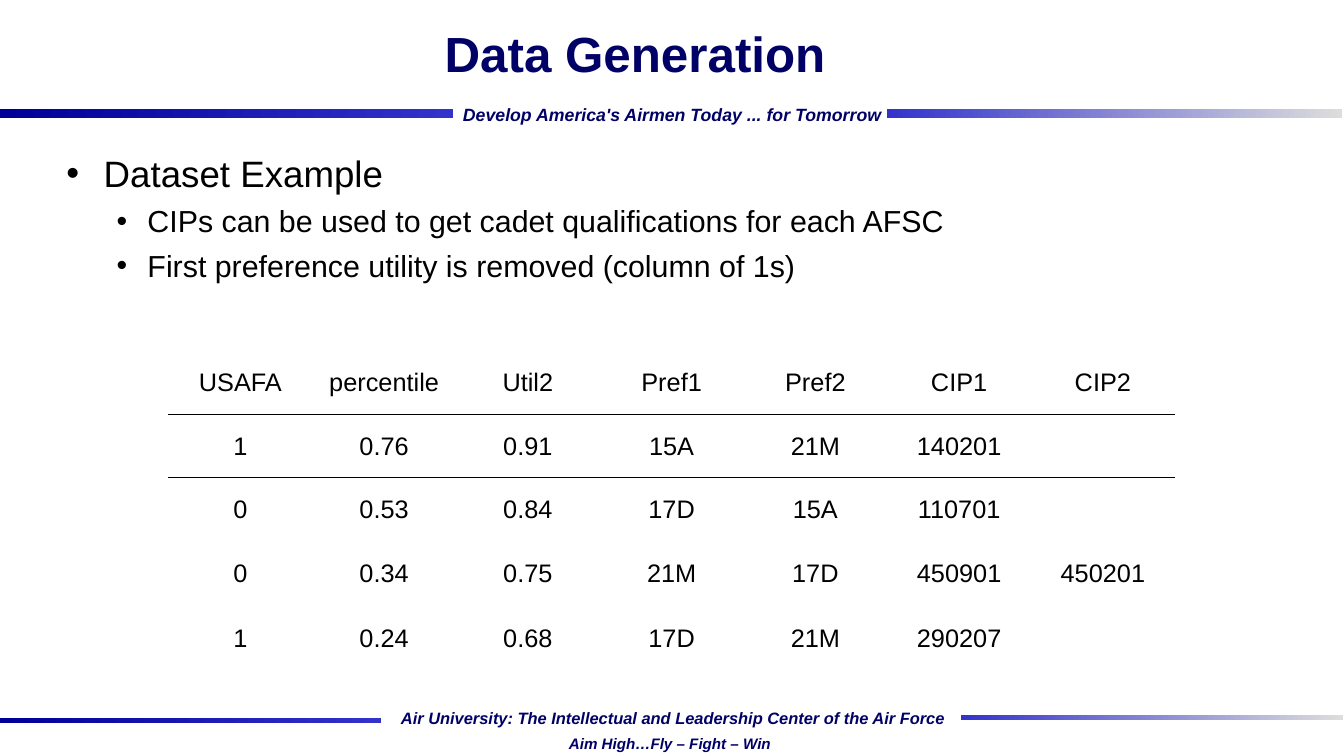
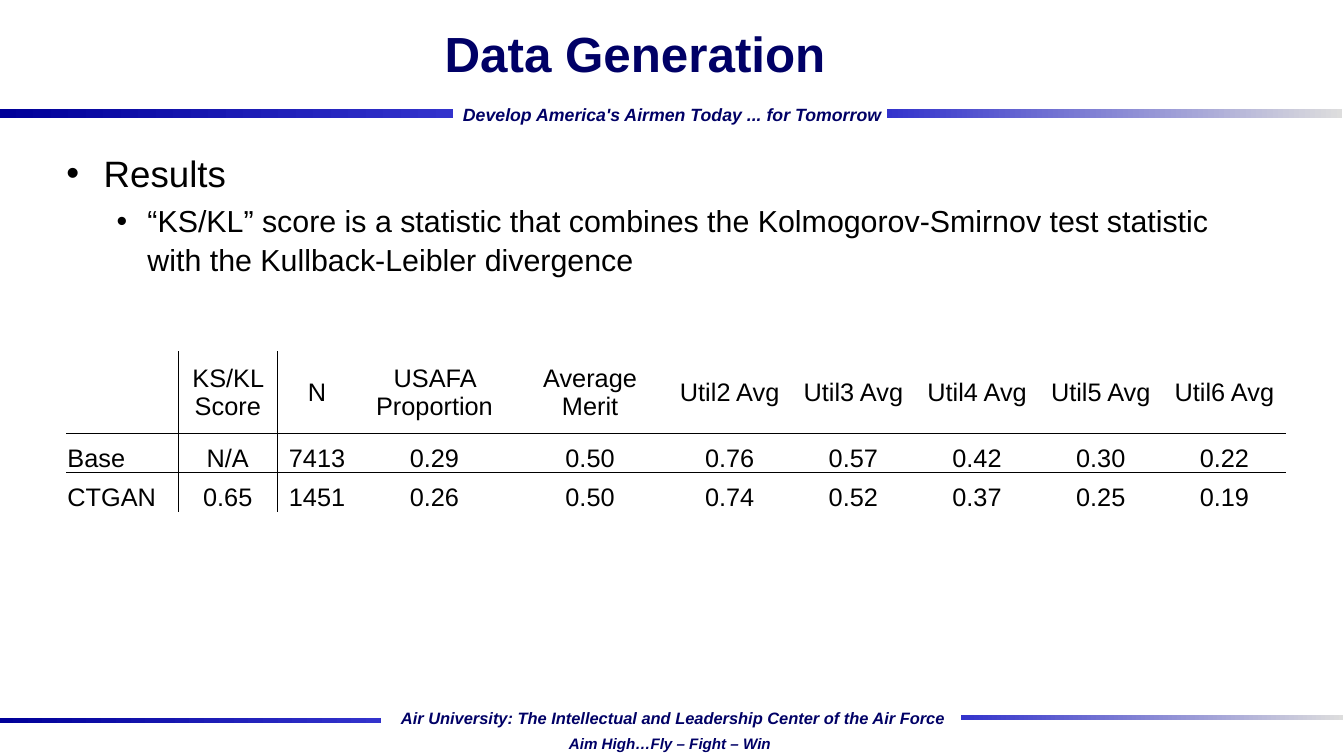
from dataclasses import dataclass
from typing import Any

from lxml.etree import SubElement
from pptx import Presentation
from pptx.dml.color import RGBColor
from pptx.enum.shapes import MSO_SHAPE
from pptx.enum.text import MSO_ANCHOR, MSO_AUTO_SIZE, PP_ALIGN
from pptx.oxml.ns import qn
from pptx.slide import Slide
from pptx.util import Cm, Pt

NAVY = RGBColor(0x00, 0x00, 0x66)
DEEP_BLUE = RGBColor(0x00, 0x00, 0x99)
BLUE = RGBColor(0x33, 0x33, 0xCC)
SILVER = RGBColor(0xDD, 0xDD, 0xDD)
BLACK = RGBColor(0x00, 0x00, 0x00)

FONT = "Arial"
PLAIN_TABLE_STYLE = "{2D5ABB26-0587-4C30-8999-92F81FD0307C}"
TITLE_FORMAT = {"size": Pt(39), "bold": True}
MOTTO_FORMAT = {"bold": True, "italic": True}
CELL_FORMAT = {"size": Pt(20)}
CELL_MARGINS = {
    "margin_left": Cm(0.03),
    "margin_right": Cm(0.03),
    "margin_top": Cm(0.03),
    "margin_bottom": Cm(0),
}


@dataclass(frozen=True)
class Box:
    """A rectangle in centimetres."""

    left: float
    top: float
    width: float
    height: float

    def lengths(self) -> tuple[Cm, Cm, Cm, Cm]:
        return Cm(self.left), Cm(self.top), Cm(self.width), Cm(self.height)


@dataclass(frozen=True)
class Band:
    box: Box
    start: RGBColor
    end: RGBColor


@dataclass(frozen=True)
class Motto:
    text: str
    box: Box
    size: int


@dataclass(frozen=True)
class BulletLevel:
    margin: float
    hanging: float
    size: int


@dataclass(frozen=True)
class DataTable:
    left: float
    top: float
    columns: list[float]
    heights: list[float]
    rows: list[list[str]]
    body_anchor: MSO_ANCHOR
    row_labels: bool = False


@dataclass(frozen=True)
class Page:
    title: str
    bullets: list[tuple[int, str]]
    table: DataTable


TITLE_BOX = Box(3.2, 0, 29.03, 2.97)
BODY_BOX = Box(1.6, 4.01, 33.71, 15.42)
BULLET_LEVELS = [BulletLevel(1.04, 1.04, 29), BulletLevel(2.26, 0.86, 24)]

BANDS = [
    Band(Box(24.74, 3.05, 12.7, 0.23), BLUE, SILVER),
    Band(Box(-0.05, 3.05, 12.7, 0.23), DEEP_BLUE, BLUE),
    Band(Box(-0.05, 20.02, 10.67, 0.13), DEEP_BLUE, BLUE),
    Band(Box(26.8, 19.94, 10.67, 0.13), BLUE, SILVER),
]
MOTTOS = [
    Motto("Develop America's Airmen Today ... for Tomorrow",
          Box(12.62, 2.77, 12.27, 0.86), 14),
    Motto("Air University: The Intellectual and Leadership Center of the Air Force",
          Box(10.82, 19.61, 15.88, 0.79), 13),
    Motto("Aim High…Fly – Fight – Win", Box(15.54, 20.35, 6.3, 0.74), 12),
]

DATASET = DataTable(
    4.7, 9.73, [4.01] * 7, [1.83, 1.75, 1.75, 1.83, 1.83],
    [
        ["USAFA", "percentile", "Util2", "Pref1", "Pref2", "CIP1", "CIP2"],
        ["1", "0.76", "0.91", "15A", "21M", "140201", ""],
        ["0", "0.53", "0.84", "17D", "15A", "110701", ""],
        ["0", "0.34", "0.75", "21M", "17D", "450901", "450201"],
        ["1", "0.24", "0.68", "17D", "21M", "290207", ""],
    ],
    MSO_ANCHOR.MIDDLE,
)
RESULTS = DataTable(
    1.85, 9.8, [3.12, 2.77, 2.21, 4.34, 4.34] + [3.45] * 5, [2.29, 1.09, 1.09],
    [
        ["", "KS/KL Score", "N", "USAFA Proportion", "Average Merit"]
        + [f"Util{rank} Avg" for rank in range(2, 7)],
        ["Base", "N/A", "7413", "0.29", "0.50", "0.76", "0.57", "0.42", "0.30", "0.22"],
        ["CTGAN", "0.65", "1451", "0.26", "0.50", "0.74", "0.52", "0.37", "0.25", "0.19"],
    ],
    MSO_ANCHOR.BOTTOM,
    row_labels=True,
)

PAGES = [
    Page(
        "Data Generation",
        [
            (0, "Dataset Example"),
            (1, "CIPs can be used to get cadet qualifications for each AFSC"),
            (1, "First preference utility is removed (column of 1s)"),
        ],
        DATASET,
    ),
    Page(
        "Data Generation",
        [
            (0, "Results"),
            (1, "“KS/KL” score is a statistic that combines the Kolmogorov-Smirnov "
                "test statistic with the Kullback-Leibler divergence"),
        ],
        RESULTS,
    ),
]


def apply_format(target: Any, values: dict[str, Any]) -> None:
    for attribute, value in values.items():
        setattr(target, attribute, value)


def write_run(paragraph: Any, text: str, color: RGBColor, values: dict[str, Any]) -> None:
    run = paragraph.add_run()
    run.text = text
    run.font.name = FONT
    run.font.color.rgb = color
    apply_format(run.font, values)


def place(shape: Any, box: Box) -> None:
    shape.left, shape.top, shape.width, shape.height = box.lengths()


def draw_band(slide: Slide, band: Band) -> None:
    bar = slide.shapes.add_shape(MSO_SHAPE.RECTANGLE, *band.box.lengths())
    bar.shadow.inherit = False
    bar.line.fill.background()
    bar.fill.gradient()
    bar.fill.gradient_angle = 0
    for stop, color in zip(bar.fill.gradient_stops, (band.start, band.end)):
        stop.color.rgb = color


def draw_motto(slide: Slide, motto: Motto) -> None:
    frame = slide.shapes.add_textbox(*motto.box.lengths()).text_frame
    frame.word_wrap = False
    line = frame.paragraphs[0]
    line.alignment = PP_ALIGN.CENTER
    write_run(line, motto.text, NAVY, {"size": Pt(motto.size), **MOTTO_FORMAT})


def fill_title(slide: Slide, text: str) -> None:
    title = slide.shapes.title
    place(title, TITLE_BOX)
    title.text_frame.vertical_anchor = MSO_ANCHOR.MIDDLE
    title.text_frame.auto_size = MSO_AUTO_SIZE.NONE
    heading = title.text_frame.paragraphs[0]
    heading.alignment = PP_ALIGN.CENTER
    write_run(heading, text, NAVY, TITLE_FORMAT)


def fill_body(slide: Slide, bullets: list[tuple[int, str]]) -> None:
    body = slide.placeholders[1]
    place(body, BODY_BOX)
    frame = body.text_frame
    frame.auto_size = MSO_AUTO_SIZE.NONE
    for index, (depth, text) in enumerate(bullets):
        item = frame.add_paragraph() if index else frame.paragraphs[0]
        level = BULLET_LEVELS[depth]
        properties = item._p.get_or_add_pPr()
        properties.set("marL", str(Cm(level.margin)))
        properties.set("indent", str(-Cm(level.hanging)))
        SubElement(properties, qn("a:buChar")).set("char", "•")
        item.level = depth
        item.line_spacing = 1.05
        item.space_before = Pt(0.2 * level.size if index else 0)
        write_run(item, text, BLACK, {"size": Pt(level.size)})


def add_border(cell: Any, side: str) -> None:
    """Rule one side of a cell: L, R, T or B, added in that order."""
    border = SubElement(cell._tc.get_or_add_tcPr(), qn(f"a:ln{side}"), w=str(Pt(1)))
    fill = SubElement(border, qn("a:solidFill"))
    SubElement(fill, qn("a:srgbClr")).set("val", str(BLACK))


def ruled_sides(row: int, column: int, row_labels: bool) -> str:
    """Sides that touch the rule under the header or beside the row labels."""
    beside = {0: "R", 1: "L"}.get(column, "") if row_labels else ""
    return beside + {0: "B", 1: "T"}.get(row, "")


def draw_table(slide: Slide, data: DataTable) -> None:
    box = Box(data.left, data.top, sum(data.columns), sum(data.heights))
    table = slide.shapes.add_table(
        len(data.heights), len(data.columns), *box.lengths()).table
    apply_format(table, {"first_row": False, "horz_banding": False})
    table._tbl.tblPr.find(qn("a:tableStyleId")).text = PLAIN_TABLE_STYLE
    for column, width in zip(table.columns, data.columns):
        column.width = Cm(width)
    for row, height in zip(table.rows, data.heights):
        row.height = Cm(height)
    for r, values in enumerate(data.rows):
        for c, text in enumerate(values):
            cell = table.cell(r, c)
            for side in ruled_sides(r, c, data.row_labels):
                add_border(cell, side)
            cell.fill.background()
            apply_format(cell, CELL_MARGINS)
            cell.vertical_anchor = data.body_anchor if r else MSO_ANCHOR.MIDDLE
            if text:
                entry = cell.text_frame.paragraphs[0]
                is_label = data.row_labels and c == 0
                entry.alignment = PP_ALIGN.LEFT if is_label else PP_ALIGN.CENTER
                write_run(entry, text, BLACK, CELL_FORMAT)


def build_page(deck: Any, page: Page) -> None:
    slide = deck.slides.add_slide(deck.slide_layouts[1])
    for band in BANDS:
        draw_band(slide, band)
    for motto in MOTTOS:
        draw_motto(slide, motto)
    fill_title(slide, page.title)
    fill_body(slide, page.bullets)
    draw_table(slide, page.table)


def main() -> None:
    deck = Presentation()
    deck.slide_width, deck.slide_height = Cm(37.49), Cm(21.08)
    for page in PAGES:
        build_page(deck, page)
    deck.save("out.pptx")


if __name__ == "__main__":
    main()
